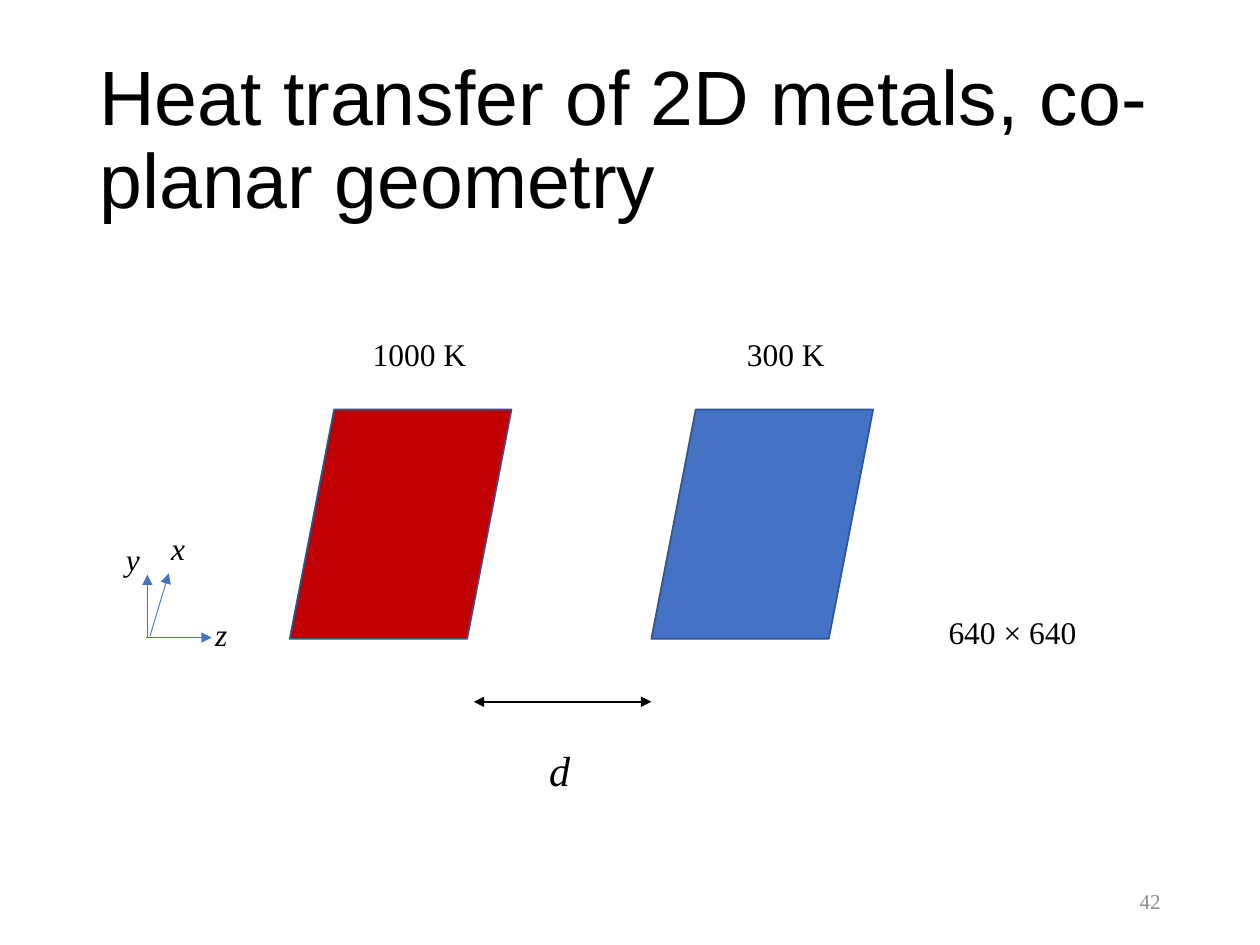
from typing import NamedTuple

from lxml.etree import SubElement
from pptx import Presentation
from pptx.dml.color import RGBColor
from pptx.enum.shapes import MSO_CONNECTOR as Link, MSO_SHAPE as Form
from pptx.enum.text import MSO_ANCHOR as Anchor, PP_ALIGN as Align
from pptx.oxml.ns import qn
from pptx.slide import Slide
from pptx.util import Inches, Pt

SERIF = "Times New Roman"
BLACK, BLUE, RED, EDGE, GREY = "000000", "4472C4", "C00000", "325491", "8C8C8C"


class Label(NamedTuple):
    text: str
    left: float
    top: float
    width: float
    height: float = 0.4
    size: float = 18
    italic: bool = False
    font: str = SERIF
    color: str = BLACK
    anchor: Anchor = Anchor.TOP
    align: Align = Align.LEFT
    spacing: float = 1.0


class Plate(NamedTuple):
    left: float
    color: str


class Arrow(NamedTuple):
    x1: float
    y1: float
    x2: float
    y2: float
    color: str = BLUE
    weight: float = 0.5
    ends: tuple[str, ...] = ("a:tailEnd",)


LABELS = [
    Label("Heat transfer of 2D metals, co-planar geometry", 0.69, 0.4, 8.62, 1.45,
          size=44, font="Arial", anchor=Anchor.MIDDLE, spacing=0.9),
    Label("42", 7.06, 6.95, 2.25, size=12, color=GREY,
          anchor=Anchor.MIDDLE, align=Align.RIGHT),
    Label("1000 K", 2.86, 2.61, 1.07),
    Label("300 K", 5.83, 2.61, 1.07),
    Label("640 × 640", 7.43, 4.82, 1.3),
    Label("d", 4.26, 5.86, 0.35, 0.5, size=24, italic=True),
    Label("x", 1.26, 4.15, 0.32, italic=True),
    Label("y", 0.9, 4.24, 0.32, italic=True),
    Label("z", 1.61, 4.83, 0.32, italic=True),
]
PLATES = [Plate(2.3, RED), Plate(5.17, BLUE)]
ARROWS = [
    Arrow(3.76, 5.57, 5.17, 5.57, BLACK, 1.25, ("a:headEnd", "a:tailEnd")),
    Arrow(1.17, 5.06, 1.17, 4.56),
    Arrow(1.19, 5.05, 1.34, 4.55),
    Arrow(1.16, 5.06, 1.68, 5.06),
]


def paint(code: str) -> RGBColor:
    """Turn a hex string into a colour."""
    return RGBColor.from_string(code)


def add_label(slide: Slide, label: Label) -> None:
    """Write one label as a single run in a text box."""
    box = slide.shapes.add_textbox(Inches(label.left), Inches(label.top),
                                   Inches(label.width), Inches(label.height))
    frame = box.text_frame
    frame.word_wrap = True
    frame.vertical_anchor = label.anchor
    line = frame.paragraphs[0]
    line.alignment = label.align
    line.line_spacing = label.spacing
    run = line.add_run()
    run.text = label.text
    font = run.font
    font.name, font.size, font.italic = label.font, Pt(label.size), label.italic
    font.color.rgb = paint(label.color)


def add_plate(slide: Slide, plate: Plate) -> None:
    """Draw one slanted metal sheet."""
    shape = slide.shapes.add_shape(Form.FLOWCHART_DATA, Inches(plate.left),
                                   Inches(3.25), Inches(1.76), Inches(1.82))
    shape.shadow.inherit = False
    shape.fill.solid()
    shape.fill.fore_color.rgb = paint(plate.color)
    shape.line.color.rgb = paint(EDGE)
    shape.line.width = Pt(1)


def add_arrow(slide: Slide, arrow: Arrow) -> None:
    """Draw a straight line with its arrowheads."""
    link = slide.shapes.add_connector(Link.STRAIGHT, Inches(arrow.x1), Inches(arrow.y1),
                                      Inches(arrow.x2), Inches(arrow.y2))
    link.line.color.rgb = paint(arrow.color)
    link.line.width = Pt(arrow.weight)
    stroke = link.line._get_or_add_ln()
    for end in arrow.ends:
        SubElement(stroke, qn(end), type="triangle")
    SubElement(link._element.spPr, qn("a:effectLst"))


def main() -> None:
    """Build and save the slide."""
    deck = Presentation()
    deck.slide_width, deck.slide_height = Inches(10), Inches(7.5)
    slide = deck.slides.add_slide(deck.slide_layouts[6])
    for plate in PLATES:
        add_plate(slide, plate)
    for arrow in ARROWS:
        add_arrow(slide, arrow)
    for label in LABELS:
        add_label(slide, label)
    deck.save("out.pptx")


if __name__ == "__main__":
    main()
